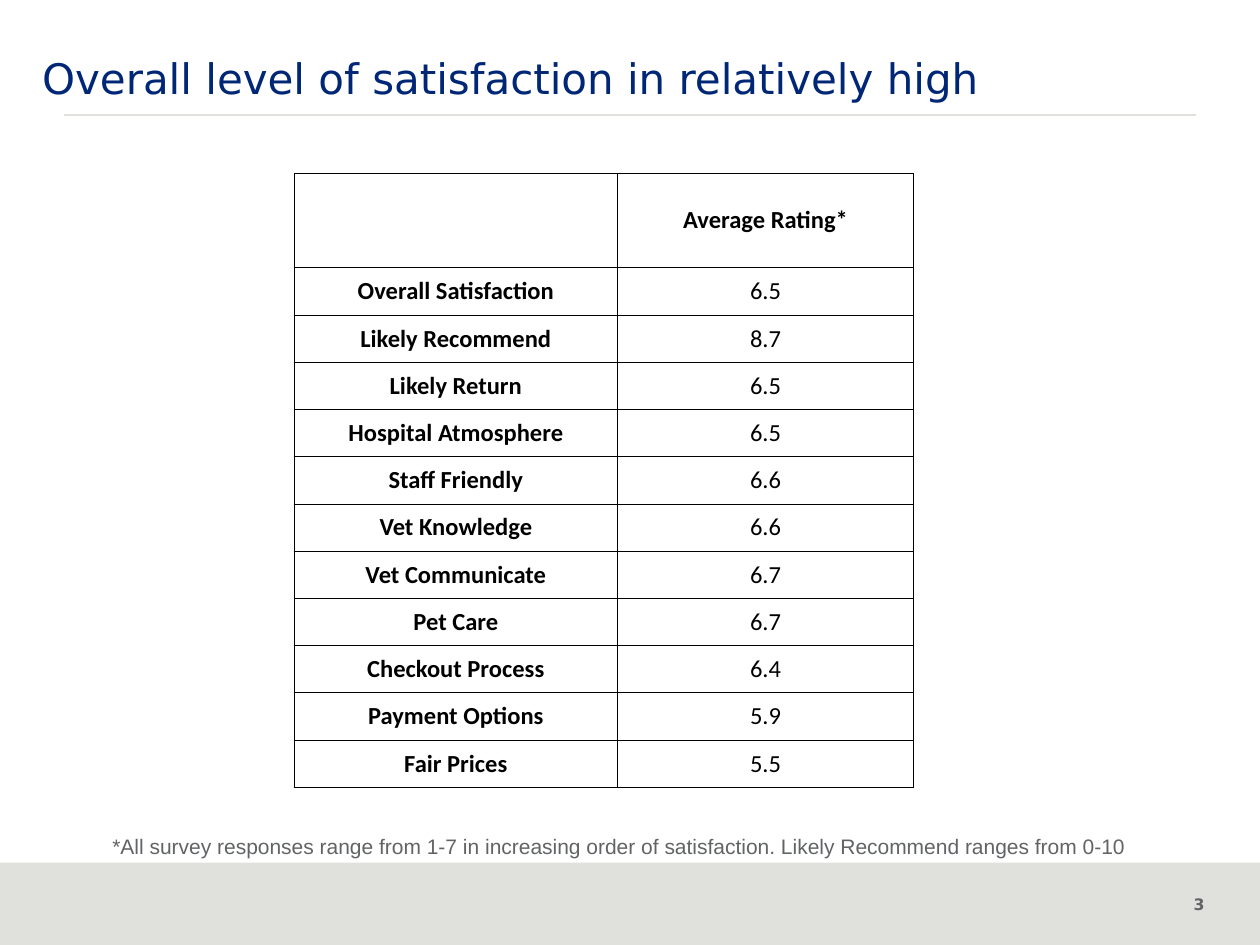
from lxml.etree import SubElement
from pptx import Presentation
from pptx.dml.color import RGBColor
from pptx.enum.shapes import MSO_CONNECTOR, MSO_SHAPE
from pptx.enum.text import MSO_ANCHOR, PP_ALIGN
from pptx.oxml.ns import qn
from pptx.util import Pt

TITLE = "Overall level of satisfaction in relatively high"
FOOTNOTE = ("*All survey responses range from 1-7 in increasing order of satisfaction. "
            "Likely Recommend ranges from 0-10")
PAGE_NUMBER = "3"
RATINGS = [
    ("", "Average Rating*"),
    ("Overall Satisfaction", "6.5"),
    ("Likely Recommend", "8.7"),
    ("Likely Return", "6.5"),
    ("Hospital Atmosphere", "6.5"),
    ("Staff Friendly", "6.6"),
    ("Vet Knowledge", "6.6"),
    ("Vet Communicate", "6.7"),
    ("Pet Care", "6.7"),
    ("Checkout Process", "6.4"),
    ("Payment Options", "5.9"),
    ("Fair Prices", "5.5"),
]

NAVY, GREY, PALE, BLACK = "002776", "616365", "E0E1DD", "000000"
SLIDE_WIDTH, SLIDE_HEIGHT = 720, 540
BAND_TOP = 493
COLUMN_WIDTHS = (185, 169)
HEADER_HEIGHT, ROW_HEIGHT = 54, 27


def color(hex_string):
    return RGBColor.from_string(hex_string)


def write(frame, text, size, font, hex_string, bold=False, align=PP_ALIGN.LEFT):
    paragraph = frame.paragraphs[0]
    paragraph.alignment = align
    run = paragraph.add_run()
    run.text = text
    run.font.size = Pt(size)
    run.font.name = font
    run.font.bold = bold
    run.font.color.rgb = color(hex_string)


def set_margins(target, margin):
    """Give a text frame or table cell the same margin on all sides."""
    target.margin_left = target.margin_right = Pt(margin)
    target.margin_top = target.margin_bottom = Pt(margin)


def add_text(slide, box, margin, anchor, *style, **options):
    frame = slide.shapes.add_textbox(*map(Pt, box)).text_frame
    frame.word_wrap = True
    frame.vertical_anchor = anchor
    set_margins(frame, margin)
    write(frame, *style, **options)


def add_borders(cell):
    properties = cell._tc.get_or_add_tcPr()
    for position, side in enumerate(("a:lnL", "a:lnR", "a:lnT", "a:lnB")):
        line = SubElement(properties, qn(side), w=str(Pt(0.5)))
        fill = SubElement(line, qn("a:solidFill"))
        SubElement(fill, qn("a:srgbClr"), val=BLACK)
        properties.insert(position, line)


def add_band_and_rule(slide):
    band = slide.shapes.add_shape(MSO_SHAPE.RECTANGLE, 0, Pt(BAND_TOP),
                                  Pt(SLIDE_WIDTH), Pt(SLIDE_HEIGHT - BAND_TOP))
    band.shadow.inherit = False
    band.fill.solid()
    band.fill.fore_color.rgb = color(PALE)
    band.line.fill.background()

    rule = slide.shapes.add_connector(MSO_CONNECTOR.STRAIGHT,
                                      Pt(36.7), Pt(65.8), Pt(683.3), Pt(65.8))
    rule.line.color.rgb = color(PALE)
    rule.line.width = Pt(0.75)
    SubElement(rule._element.spPr, qn("a:effectLst"))


def add_ratings_table(slide):
    height = HEADER_HEIGHT + ROW_HEIGHT * (len(RATINGS) - 1)
    table = slide.shapes.add_table(len(RATINGS), len(COLUMN_WIDTHS), Pt(168), Pt(99),
                                   Pt(sum(COLUMN_WIDTHS)), Pt(height)).table
    table.first_row = table.horz_banding = False
    for column, width in zip(table.columns, COLUMN_WIDTHS):
        column.width = Pt(width)
    for row_index, values in enumerate(RATINGS):
        table.rows[row_index].height = Pt(ROW_HEIGHT if row_index else HEADER_HEIGHT)
        for column_index, value in enumerate(values):
            cell = table.cell(row_index, column_index)
            cell.fill.background()
            cell.vertical_anchor = MSO_ANCHOR.MIDDLE
            set_margins(cell, 0)
            add_borders(cell)
            if value:
                is_heading = row_index == 0 or column_index == 0
                write(cell.text_frame, value, 14, "Calibri", BLACK,
                      bold=is_heading, align=PP_ALIGN.CENTER)


def main():
    presentation = Presentation()
    presentation.slide_width = Pt(SLIDE_WIDTH)
    presentation.slide_height = Pt(SLIDE_HEIGHT)
    slide = presentation.slides.add_slide(presentation.slide_layouts[6])

    add_band_and_rule(slide)
    add_text(slide, (647.3, 507.6, 44.6, 28.8), 3.6, MSO_ANCHOR.TOP, PAGE_NUMBER,
             9, "DejaVu Sans", GREY, bold=True, align=PP_ALIGN.RIGHT)
    add_text(slide, (24, 30.2, 672, 49.7), 0, MSO_ANCHOR.TOP, TITLE,
             24, "DejaVu Sans", NAVY)
    add_ratings_table(slide)
    add_text(slide, (33, 469, 642, 29), 3.6, MSO_ANCHOR.MIDDLE, FOOTNOTE,
             12, "Arial", GREY, align=PP_ALIGN.CENTER)
    presentation.save("out.pptx")


if __name__ == "__main__":
    main()
